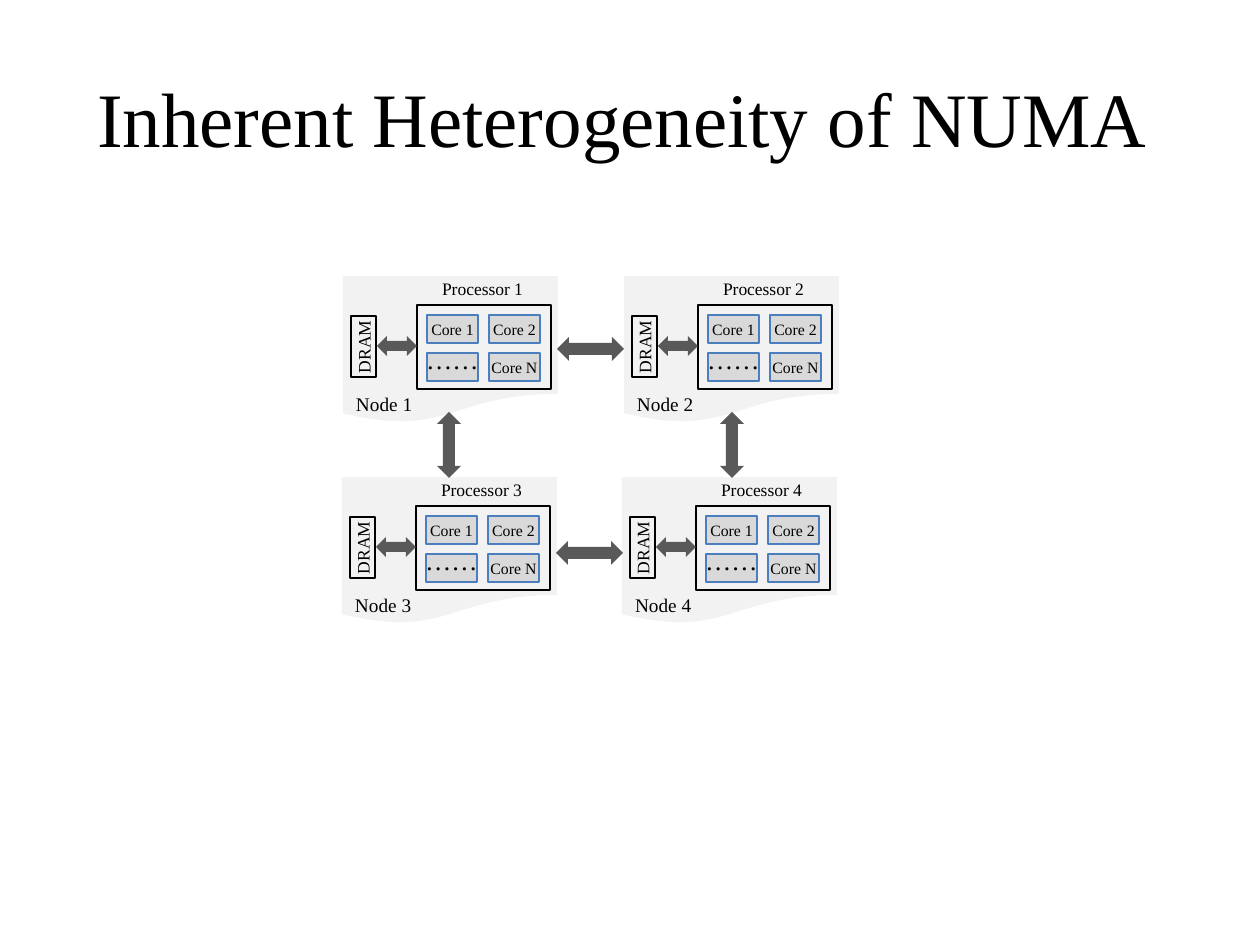
from pptx import Presentation
from pptx import util as u
from pptx.dml.color import RGBColor
from pptx.enum import shapes, text

SCALE = 914400 // 126
KIND = shapes.MSO_SHAPE


def px(value):
    return u.Emu(value * SCALE)


def color(code):
    return RGBColor.from_string(code)


class Board:
    font = "Times New Roman"
    ink = "000000"
    node_fill = "F2F2F2"
    core_fill = "D9D9D9"
    core_line = "4B7EBC"
    arrow_fill = "595959"

    def __init__(self, deck):
        self.slide = deck.slides.add_slide(deck.slide_layouts[5])

    def set_text(self, frame, words, size, align):
        frame.text = words
        para = frame.paragraphs[0]
        para.alignment = align
        for span in para.runs:
            span.font.name = self.font
            span.font.size = u.Pt(size)
            span.font.color.rgb = color(self.ink)

    def clear_margins(self, frame):
        frame.margin_left = frame.margin_right = 0
        frame.margin_top = frame.margin_bottom = 0

    def title(self, words, *place):
        box = self.slide.shapes.title
        box.left, box.top, box.width, box.height = map(px, place)
        box.text_frame.vertical_anchor = text.MSO_ANCHOR.MIDDLE
        self.set_text(box.text_frame, words, 44, text.PP_ALIGN.CENTER)

    def shape(self, kind, *place, fill=None, line=None, words=None):
        box = self.slide.shapes.add_shape(kind, *map(px, place))
        box.shadow.inherit = False
        if fill:
            box.fill.solid()
            box.fill.fore_color.rgb = color(fill)
        else:
            box.fill.background()
        if line:
            box.line.color.rgb = color(line)
            box.line.width = u.Pt(0.75)
        else:
            box.line.fill.background()
        if words:
            self.clear_margins(box.text_frame)
            box.text_frame.vertical_anchor = text.MSO_ANCHOR.MIDDLE
            self.set_text(box.text_frame, words, 9, text.PP_ALIGN.CENTER)
        return box

    def label(self, words, size, *place, align=text.PP_ALIGN.LEFT, tight=True, turn=0):
        box = self.slide.shapes.add_textbox(*map(px, place))
        frame = box.text_frame
        frame.word_wrap = not tight
        frame.auto_size = text.MSO_AUTO_SIZE.SHAPE_TO_FIT_TEXT
        if tight:
            self.clear_margins(frame)
        box.rotation = turn
        self.set_text(frame, words, size, align)

    def arrow(self, *place, turn=0):
        box = self.shape(KIND.LEFT_RIGHT_ARROW, *place, fill=self.arrow_fill)
        box.rotation = turn

    def node(self, number, x, y):
        center = text.PP_ALIGN.CENTER
        self.shape(KIND.FLOWCHART_DOCUMENT, x, y, 215, 147, fill=self.node_fill)

        # Processor and its cores
        self.shape(KIND.RECTANGLE, x + 74, y + 29, 134, 84, line=self.ink)
        self.label(f"Processor {number}", 10, x + 77, y - 4, 125, 34,
                   align=center, tight=False)
        for index, words in enumerate(["Core 1", "Core 2", None, "Core N"]):
            row, column = divmod(index, 2)
            self.shape(KIND.RECTANGLE, x + 84 + 62 * column, y + 39 + 38 * row, 51, 28,
                       fill=self.core_fill, line=self.core_line, words=words)
        self.label("……", 15, x + 83, y + 67, 53, 32, align=center)

        # Memory and node name
        self.arrow(x + 34, y + 60, 40, 20)
        self.shape(KIND.RECTANGLE, x + 8, y + 40, 25, 61, line=self.ink)
        self.label("DRAM", 10, x - 6, y + 60, 53, 21, turn=270)
        self.label(f"Node {number}", 11, x + 13, y + 116, 57, 24)


deck = Presentation()
deck.slide_width, deck.slide_height = px(1260), px(945)
board = Board(deck)
# The trailing space belongs to the centred title line
board.title("Inherent Heterogeneity of NUMA ", 63, 38, 1134, 158)

# Four nodes
for number, (x, y) in enumerate([(343, 276), (624, 276), (342, 477), (622, 477)], 1):
    board.node(number, x, y)

# Links between nodes
for x, y in [(557, 337), (556, 541)]:
    board.arrow(x, y, 67, 24)
for x in (416, 699):
    board.arrow(x, 433, 66, 24, turn=90)

deck.save("out.pptx")
